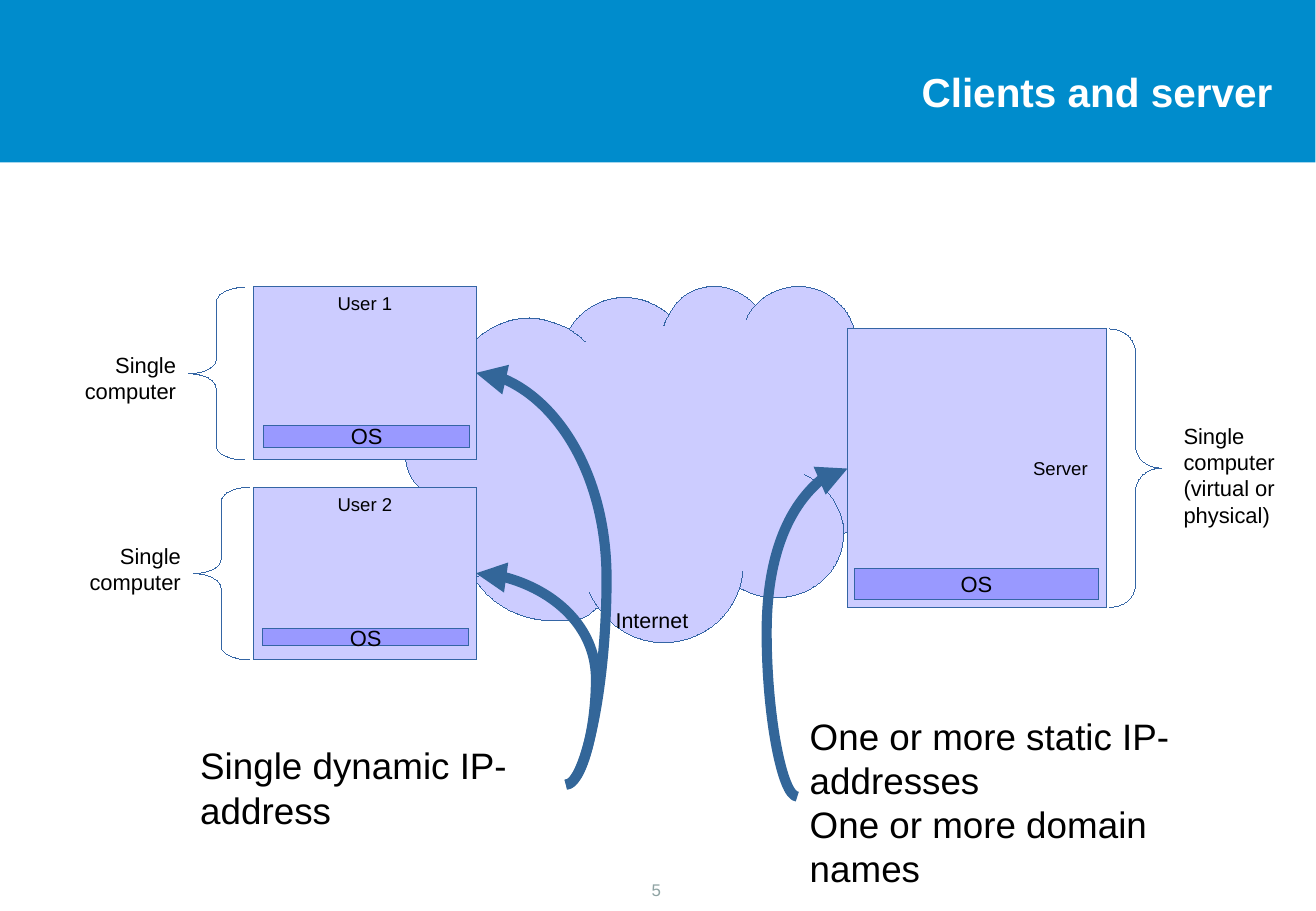
from lxml import etree
from pptx import Presentation
from pptx.dml.color import RGBColor
from pptx.enum.shapes import MSO_CONNECTOR, MSO_SHAPE
from pptx.enum.text import MSO_ANCHOR, PP_ALIGN
from pptx.oxml.ns import qn
from pptx.util import Cm, Pt

LEFT, CENTER, RIGHT = PP_ALIGN.LEFT, PP_ALIGN.CENTER, PP_ALIGN.RIGHT
TOP, MIDDLE, BOTTOM = MSO_ANCHOR.TOP, MSO_ANCHOR.MIDDLE, MSO_ANCHOR.BOTTOM
RECTANGLE = MSO_SHAPE.RECTANGLE
LEFT_BRACE, RIGHT_BRACE = MSO_SHAPE.LEFT_BRACE, MSO_SHAPE.RIGHT_BRACE
CURVE = MSO_CONNECTOR.CURVE

BAND_BLUE = RGBColor(0x00, 0x8C, 0xCC)
LAVENDER = RGBColor(0xCC, 0xCC, 0xFF)
VIOLET = RGBColor(0x99, 0x99, 0xFF)
OUTLINE_BLUE = RGBColor(0x34, 0x65, 0xA4)
ARROW_BLUE = RGBColor(0x33, 0x66, 0x99)
GREY = RGBColor(0x8F, 0xA3, 0xA3)
BLACK = RGBColor(0x00, 0x00, 0x00)
WHITE = RGBColor(0xFF, 0xFF, 0xFF)
HAIRLINE = Pt(0.01)


def write(shape, text, size=13, color=BLACK, align=CENTER, anchor=TOP,
          bold=False, margins=(0.25, 0.12, 0.25, 0.12)):
    """Fill a shape with text, one paragraph per line."""
    frame = shape.text_frame
    frame.word_wrap = True
    frame.vertical_anchor = anchor
    (frame.margin_left, frame.margin_top,
     frame.margin_right, frame.margin_bottom) = map(Cm, margins)
    frame.text = text
    for paragraph in frame.paragraphs:
        paragraph.alignment = align
        font = paragraph.runs[0].font
        font.name, font.size, font.bold = "Arial", Pt(size), bold
        font.color.rgb = color


def paint(shape, fill=None):
    """Give a shape the thin outline and a plain fill, or none."""
    shape.shadow.inherit = False
    shape.line.color.rgb = OUTLINE_BLUE
    shape.line.width = HAIRLINE
    if fill is None:
        shape.fill.background()
    else:
        shape.fill.solid()
        shape.fill.fore_color.rgb = fill


presentation = Presentation()
presentation.slide_width, presentation.slide_height = Cm(27.53), Cm(19.05)
slide = presentation.slides.add_slide(presentation.slide_layouts[5])

# Title on its blue band
title = slide.shapes.title
title.left, title.top, title.width, title.height = map(Cm, (2.06, 0.64, 24.56, 2.54))
write(title, "Clients and server", size=24, color=WHITE, align=RIGHT,
      anchor=MIDDLE, bold=True, margins=(0, 0, 0, 0))
band = slide.shapes.add_shape(RECTANGLE, 0, 0, Cm(27.52), Cm(3.4))
band.shadow.inherit = False
band.fill.solid()
band.fill.fore_color.rgb = BAND_BLUE
band.line.fill.background()
title.element.addprevious(band.element)

# Internet cloud: each lobe is two controls and an end
cloud_start = (9.42, 8.46)
cloud_lobes = [
    ((9.22, 7.54), (10.16, 6.65), (11.07, 6.65)),
    ((11.35, 6.65), (11.66, 6.76), (11.91, 6.88)),
    ((12.14, 6.48), (12.57, 6.22), (13.08, 6.22)),
    ((13.39, 6.22), (13.74, 6.35), (14, 6.58)),
    ((14.17, 6.2), (14.53, 5.99), (14.94, 5.99)),
    ((15.29, 5.99), (15.6, 6.15), (15.8, 6.38)),
    ((16, 6.15), (16.36, 5.99), (16.71, 5.99)),
    ((17.27, 5.99), (17.75, 6.38), (17.88, 6.91)),
    ((18.42, 7.06), (18.82, 7.57), (18.82, 8.13)),
    ((18.82, 8.31), (18.8, 8.46), (18.72, 8.64)),
    ((18.95, 8.89), (19.1, 9.25), (19.1, 9.6)),
    ((19.1, 10.39), (18.47, 11.05), (17.65, 11.15)),
    ((17.65, 11.91), (17.02, 12.5), (16.23, 12.5)),
    ((15.95, 12.5), (15.7, 12.42), (15.47, 12.29)),
    ((15.27, 12.95), (14.61, 13.44), (13.89, 13.44)),
    ((13.34, 13.44), (12.83, 13.16), (12.52, 12.7)),
    ((12.22, 12.88), (12.37, 12.98), (11.56, 12.98)),
    ((10.87, 12.98), (10.24, 12.62), (9.91, 12.07)),
    ((9.12, 12.04), (8.71, 11.61), (8.71, 11.02)),
    ((8.71, 10.77), (8.81, 10.54), (9.02, 10.34)),
    ((8.66, 10.19), (8.48, 9.86), (8.48, 9.47)),
    ((8.48, 8.94), (8.89, 8.51), cloud_start),
]
# Creases run inwards from the ends of some lobes
cloud_creases = {
    1: ((12.01, 6.96), (12.17, 7.04), (12.24, 7.14)),
    3: ((13.94, 6.65), (13.92, 6.73), (13.89, 6.81)),
    5: ((15.72, 6.48), (15.62, 6.58), (15.62, 6.68)),
    7: ((17.88, 6.99), (17.93, 7.11), (17.91, 7.16)),
    9: ((18.64, 8.79), (18.52, 8.97), (18.36, 9.09)),
    11: ((17.68, 10.87), (17.45, 10.19), (16.84, 9.93)),
    13: ((15.52, 12.17), (15.52, 12.07), (15.54, 11.96)),
    15: ((12.45, 12.62), (12.4, 12.52), (12.34, 12.4)),
    17: ((10.01, 12.04), (10.08, 12.04), (10.19, 11.99)),
    19: ((9.17, 10.44), (9.32, 10.52), (9.63, 10.46)),
    21: ((9.45, 8.53), (9.47, 8.64), (9.5, 8.71)),
}
builder = slide.shapes.build_freeform(*map(Cm, cloud_start))
builder.add_line_segments([tuple(map(Cm, point)) for lobe in cloud_lobes for point in lobe])
for lobe, crease in cloud_creases.items():
    builder.move_to(*map(Cm, cloud_lobes[lobe][2]))
    builder.add_line_segments([tuple(map(Cm, point)) for point in crease], close=False)
cloud = builder.convert_to_shape()
paint(cloud, LAVENDER)
write(cloud, "Internet", size=12.7, anchor=BOTTOM, margins=(0, 0, 0.3, 0.2))

# Turn each three points into a curve, and keep the creases unfilled
outline = cloud.element.spPr.find(".//" + qn("a:path"))
contour, curve = outline, None
for step in list(outline):
    if step.tag == qn("a:moveTo"):
        if step is not outline[0]:
            contour = etree.SubElement(outline.getparent(), qn("a:path"),
                                       w=outline.get("w"), h=outline.get("h"), fill="none")
            contour.append(step)
    elif step.tag == qn("a:lnTo"):
        if curve is None or len(curve) == 3:
            curve = etree.Element(qn("a:cubicBezTo"))
            step.addprevious(curve)
            contour.append(curve)
        curve.append(step[0])
        step.getparent().remove(step)
    else:
        contour.append(step)

# Computers, their operating systems and the braces beside them
user_format = dict(size=11, margins=(0, 0.12, 0, 0.12))
server_format = dict(size=11, anchor=MIDDLE, margins=(3.5, 0.12, 0, 0.12))
system_format = dict(anchor=MIDDLE, margins=(0.25, 0, 0.25, 0))
boxes = [
    ((5.31, 5.99, 4.65, 3.63), LAVENDER, "User 1", user_format),
    ((17.73, 6.88, 5.41, 5.82), LAVENDER, "Server", server_format),
    ((17.87, 11.89, 5.11, 0.64), VIOLET, "OS", system_format),
    ((5.31, 10.19, 4.65, 3.61), LAVENDER, "User 2", user_format),
    ((5.49, 13.15, 4.32, 0.36), VIOLET, "OS", system_format),
    ((5.51, 8.89, 4.32, 0.46), VIOLET, "OS", system_format),
]
for place, fill, text, text_format in boxes:
    box = slide.shapes.add_shape(RECTANGLE, *map(Cm, place))
    paint(box, fill)
    write(box, text, **text_format)

braces = [
    (LEFT_BRACE, (4.04, 10.19, 1.17, 3.61), 0.26),
    (LEFT_BRACE, (3.94, 6.01, 1.17, 3.61), 0.26),
    (RIGHT_BRACE, (23.22, 6.88, 1.07, 5.82), 0.45),
]
for kind, place, roundness in braces:
    brace = slide.shapes.add_shape(kind, *map(Cm, place))
    paint(brace)
    brace.adjustments[0] = roundness

# Captions and page number
captions = [
    ((24.51, 8.71, 2.57, 2.31), "Single computer\n(virtual or physical)", dict(align=LEFT)),
    ((1.36, 7.23, 2.57, 1.3), "Single computer", dict(align=RIGHT)),
    ((1.46, 11.22, 2.57, 1.3), "Single computer", dict(align=RIGHT)),
    ((16.69, 14.8, 9.47, 3.71),
     "One or more static IP-addresses\nOne or more domain names", dict(size=21.8, align=LEFT)),
    ((3.94, 15.42, 7.9, 1.98), "Single dynamic IP-address", dict(size=21.8, align=LEFT)),
    ((12.64, 18.28, 2.18, 0.64), "5", dict(size=10, color=GREY)),
]
for place, text, text_format in captions:
    write(slide.shapes.add_textbox(*map(Cm, place)), text, **text_format)

# Curved arrows from the address captions to the computers
arrows = [
    ((11.84, 16.41, 9.96, 11.99), -33500),
    ((11.84, 16.41, 9.96, 7.8), -45300),
    ((16.68, 16.66, 17.73, 9.8), -61100),
]
for ends, bend in arrows:
    arrow = slide.shapes.add_connector(CURVE, *map(Cm, ends))
    arrow.line.color.rgb = ARROW_BLUE
    arrow.line.width = Pt(6)
    properties = arrow.element.spPr
    adjustments = properties.find(qn("a:prstGeom")).get_or_add_avLst()
    etree.SubElement(adjustments, qn("a:gd"), name="adj1", fmla=f"val {bend}")
    etree.SubElement(properties.find(qn("a:ln")), qn("a:tailEnd"), type="triangle")
    etree.SubElement(properties, qn("a:effectLst"))

presentation.save("out.pptx")
